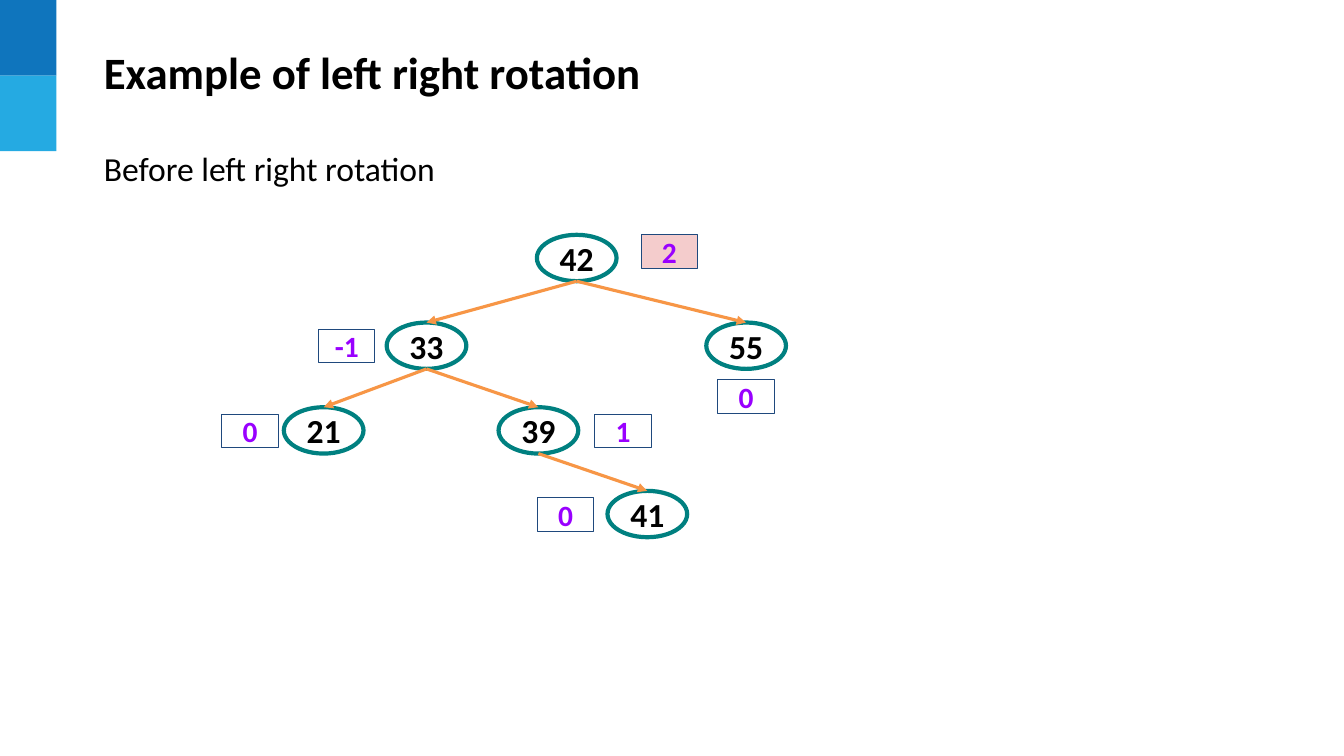
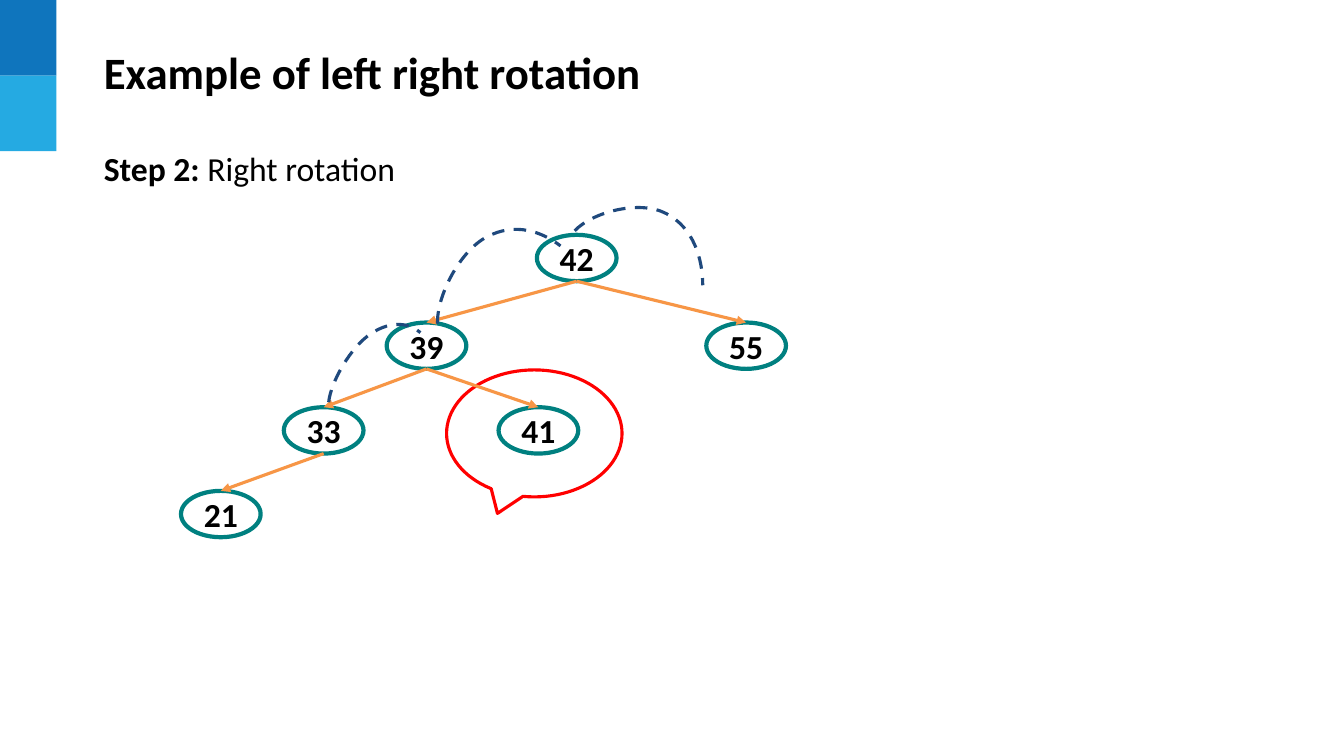
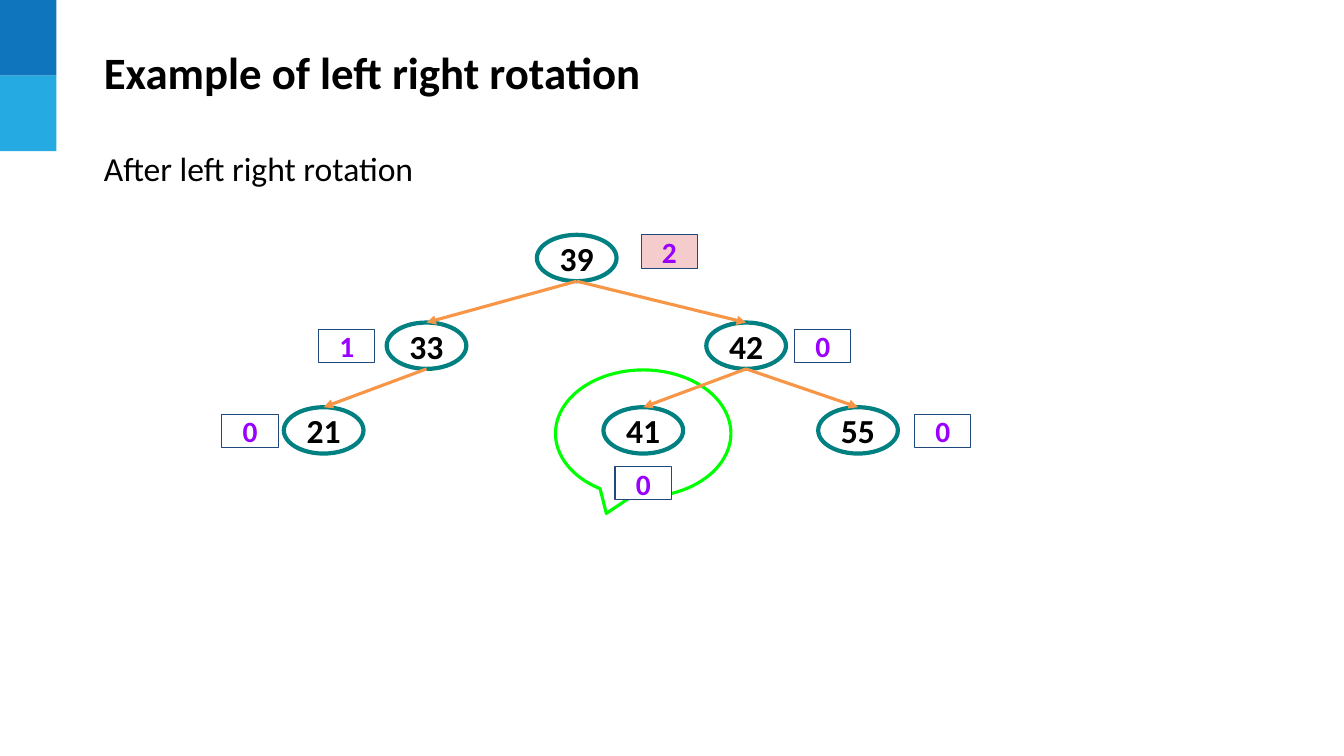
from lxml.etree import SubElement
from pptx import Presentation
from pptx.dml.color import RGBColor
from pptx.enum.dml import MSO_LINE_DASH_STYLE as Dash
from pptx.enum.shapes import MSO_CONNECTOR as Connector, MSO_SHAPE as Preset
from pptx.enum.text import MSO_ANCHOR as Anchor, MSO_AUTO_SIZE as AutoSize, PP_ALIGN as Align
from pptx.oxml.ns import qn
from pptx.util import Inches, Pt

FONT = "Calibri"
BLACK, WHITE, TEAL, ORANGE = "000000", "FFFFFF", "008080", "F79646"
NAVY, PURPLE, PINK, RED, GREEN = "1F497D", "9900FF", "F4CCCC", "FF0000", "00FF00"
BANDS = ("0F75BD", "25AAE2")
BAND_W, BAND_H = 0.56, 0.75
TITLE = "Example of left right rotation"
TITLE_BOX = (0.93, 0.39, 11.62, 0.64)
SUBTITLE_BOX = (0.93, 1.37, 11.57, 0.61)
TREE_BOX = (1.8, 2.33)

NODE_W, NODE_H = 0.79, 0.46
BADGE_W, BADGE_H = 0.56, 0.33
CALLOUT_W, CALLOUT_H, CALLOUT_TOP = 1.74, 1.26, 1.34
LEVEL_TOPS = (0, 0.87, 1.71, 2.54)
SLOT_CENTRES = {"": 3.92, "L": 2.43, "R": 5.6, "LL": 1.41, "LR": 3.54,
                "RL": 4.58, "RR": 6.71, "LLL": 0.39, "LRR": 4.62}
BESIDE = 0.07

STEPS = (
    {
        "subtitle": (("Before left right rotation", False),),
        "nodes": {"": "42", "L": "33", "R": "55", "LR": "39", "LRR": "41", "LL": "21"},
        "badges": (("", "2", 0.92, 0, PINK), ("L", "-1", -0.79, BESIDE, WHITE),
                   ("R", "0", 0, 0.57, WHITE), ("LR", "1", 0.84, BESIDE, WHITE),
                   ("LRR", "0", -0.81, BESIDE, WHITE), ("LL", "0", -0.73, BESIDE, WHITE)),
    },
    {
        "subtitle": (("Step 2:", True), (" Right rotation", False)),
        "nodes": {"": "42", "L": "39", "R": "55", "LR": "41", "LL": "33", "LLL": "21"},
        "callout": (2.63, RED),
        "arcs": (
            ((3.9, -0.04), (4.08, -0.23), (4.55, -0.35), (4.81, -0.21),
             (5.08, -0.07), (5.17, 0.24), (5.17, 0.5)),
            ((2.54, 0.88), (2.53, 0.61), (2.76, 0.16), (3.03, 0.02),
             (3.31, -0.13), (3.58, -0.03), (3.76, 0.11)),
            ((1.46, 1.66), (1.48, 1.46), (1.68, 1.11), (1.88, 0.98),
             (2.09, 0.84), (2.27, 0.88), (2.37, 0.97)),
        ),
    },
    {
        "subtitle": (("After left right rotation", False),),
        "nodes": {"": "39", "L": "33", "R": "42", "LL": "21", "RR": "55", "RL": "41"},
        "callout": (3.71, GREEN),
        "badges": (("", "2", 0.92, 0, PINK), ("L", "1", -0.79, BESIDE, WHITE),
                   ("R", "0", 0.76, BESIDE, WHITE), ("LL", "0", -0.73, BESIDE, WHITE),
                   ("RR", "0", 0.84, BESIDE, WHITE), ("RL", "0", 0, 0.59, WHITE)),
    },
)


def apply(target, **values):
    """Set each named attribute on the target."""
    for name, value in values.items():
        setattr(target, name, value)


def paint(colour_holder, colour):
    """Give a fill a solid colour from a hex string."""
    colour_holder.solid()
    colour_holder.fore_color.rgb = RGBColor.from_string(colour)


def outline(item, colour, width):
    """Give a shape or connector a solid outline."""
    paint(item.line.fill, colour)
    item.line.width = Pt(width)


def write(frame, runs, size, colour, inset, align, **values):
    """Write (text, bold) runs as one paragraph and format the frame."""
    side = Inches(0.1)
    apply(frame, word_wrap=True, margin_left=side, margin_right=side,
          margin_top=Inches(inset), margin_bottom=Inches(inset), **values)
    paragraph = frame.paragraphs[0]
    apply(paragraph, alignment=align, space_before=Pt(0))
    for text, bold in runs:
        run = paragraph.add_run()
        run.text = text
        apply(run.font, name=FONT, size=Pt(size), bold=bold)
        run.font.color.rgb = RGBColor.from_string(colour)


def add_block(slide, preset, box, fill, line=None, width=0):
    """Add a flat preset shape with its fill and optional outline."""
    block = slide.shapes.add_shape(preset, *map(Inches, box))
    block.shadow.inherit = False
    paint(block.fill, fill)
    if line:
        outline(block, line, width)
    else:
        block.line.fill.background()
    return block


def add_bands(prs, slide):
    """Stack the corner bands and hand them to the slide master."""
    for row, colour in enumerate(BANDS):
        band = add_block(slide, Preset.RECTANGLE, (0, row * BAND_H, BAND_W, BAND_H), colour)
        band.element.nvSpPr.cNvPr.set("id", str(100 + row))
        prs.slide_master.shapes.element.insert(2 + row, band.element)


def add_heading(slide, subtitle):
    """Fill the title and body placeholders."""
    body = slide.placeholders[1]
    for holder, box in ((slide.shapes.title, TITLE_BOX), (body, SUBTITLE_BOX)):
        apply(holder, **dict(zip(("left", "top", "width", "height"), map(Inches, box))))
    properties = body.text_frame.paragraphs[0]._p.get_or_add_pPr()
    for name in ("marL", "indent"):
        properties.set(name, "0")
    SubElement(properties, qn("a:buNone"))
    fit = AutoSize.SHAPE_TO_FIT_TEXT
    write(slide.shapes.title.text_frame, ((TITLE, True),), 32, BLACK, 0.05, Align.LEFT,
          vertical_anchor=Anchor.MIDDLE, auto_size=fit)
    write(body.text_frame, subtitle, 24, BLACK, 0.1, Align.LEFT,
          vertical_anchor=Anchor.TOP, auto_size=fit)


def add_node(slide, left, top, slot, key):
    """Add one tree node in its slot."""
    box = (left + SLOT_CENTRES[slot] - NODE_W / 2, top + LEVEL_TOPS[len(slot)], NODE_W, NODE_H)
    node = add_block(slide, Preset.OVAL, box, WHITE, TEAL, 3)
    write(node.text_frame, ((key, True),), 24, BLACK, 0.05, Align.CENTER,
          vertical_anchor=Anchor.MIDDLE)
    return node


def add_edge(slide, parent, child):
    """Draw an arrow from the foot of the parent to the top of the child."""
    edge = slide.shapes.add_connector(
        Connector.STRAIGHT, parent.left + parent.width // 2, parent.top + parent.height,
        child.left + child.width // 2, child.top)
    edge.end_connect(child, 0)
    outline(edge, ORANGE, 2.25)
    properties = edge.element.spPr
    SubElement(properties.find(qn("a:ln")), qn("a:tailEnd"), type="triangle")
    SubElement(properties, qn("a:effectLst"))


def add_badge(slide, left, top, slot, factor, shift, drop, fill):
    """Add a balance factor next to its node."""
    box = (left + SLOT_CENTRES[slot] + shift - BADGE_W / 2,
           top + LEVEL_TOPS[len(slot)] + drop, BADGE_W, BADGE_H)
    badge = add_block(slide, Preset.RECTANGLE, box, fill, NAVY, 0.75)
    write(badge.text_frame, ((factor, True),), 21, PURPLE, 0.1, Align.CENTER,
          vertical_anchor=Anchor.MIDDLE)


def add_callout(slide, left, top, offset, colour):
    """Ring the moved node with an oval callout."""
    box = (left + offset, top + CALLOUT_TOP, CALLOUT_W, CALLOUT_H)
    callout = add_block(slide, Preset.OVAL_CALLOUT, box, WHITE, colour, 2.25)
    callout.adjustments[0], callout.adjustments[1] = -0.21, 0.63


def add_arc(slide, left, top, controls):
    """Draw a dashed curve through chained cubic segments."""
    points = [(Inches(left + x), Inches(top + y)) for x, y in controls]
    builder = slide.shapes.build_freeform(*points[0])
    builder.add_line_segments(points[1:], close=False)
    arc = builder.convert_to_shape()
    arc.shadow.inherit = False
    arc.fill.background()
    outline(arc, NAVY, 2.25)
    arc.line.dash_style = Dash.DASH
    legs = list(arc.element.iter(qn("a:lnTo")))
    route = legs[0].getparent()
    for start in range(0, len(legs), 3):
        curve = SubElement(route, qn("a:cubicBezTo"))
        for leg in legs[start:start + 3]:
            curve.append(leg[0])
            route.remove(leg)


def add_tree(slide, left, top, step):
    """Draw the tree of one step with its marks."""
    if "callout" in step:
        add_callout(slide, left, top, *step["callout"])
    nodes = {slot: add_node(slide, left, top, slot, key) for slot, key in step["nodes"].items()}
    for slot, node in nodes.items():
        if slot:
            add_edge(slide, nodes[slot[:-1]], node)
    for badge in step.get("badges", ()):
        add_badge(slide, left, top, *badge)
    for arc in step.get("arcs", ()):
        add_arc(slide, left, top, arc)


def main():
    """Build the rotation slides and save them."""
    prs = Presentation()
    apply(prs, slide_width=Inches(13.33), slide_height=Inches(7.5))
    for number, step in enumerate(STEPS):
        slide = prs.slides.add_slide(prs.slide_layouts[1])
        if number == 0:
            add_bands(prs, slide)
        add_heading(slide, step["subtitle"])
        add_tree(slide, *TREE_BOX, step)
    prs.save("out.pptx")


if __name__ == "__main__":
    main()
